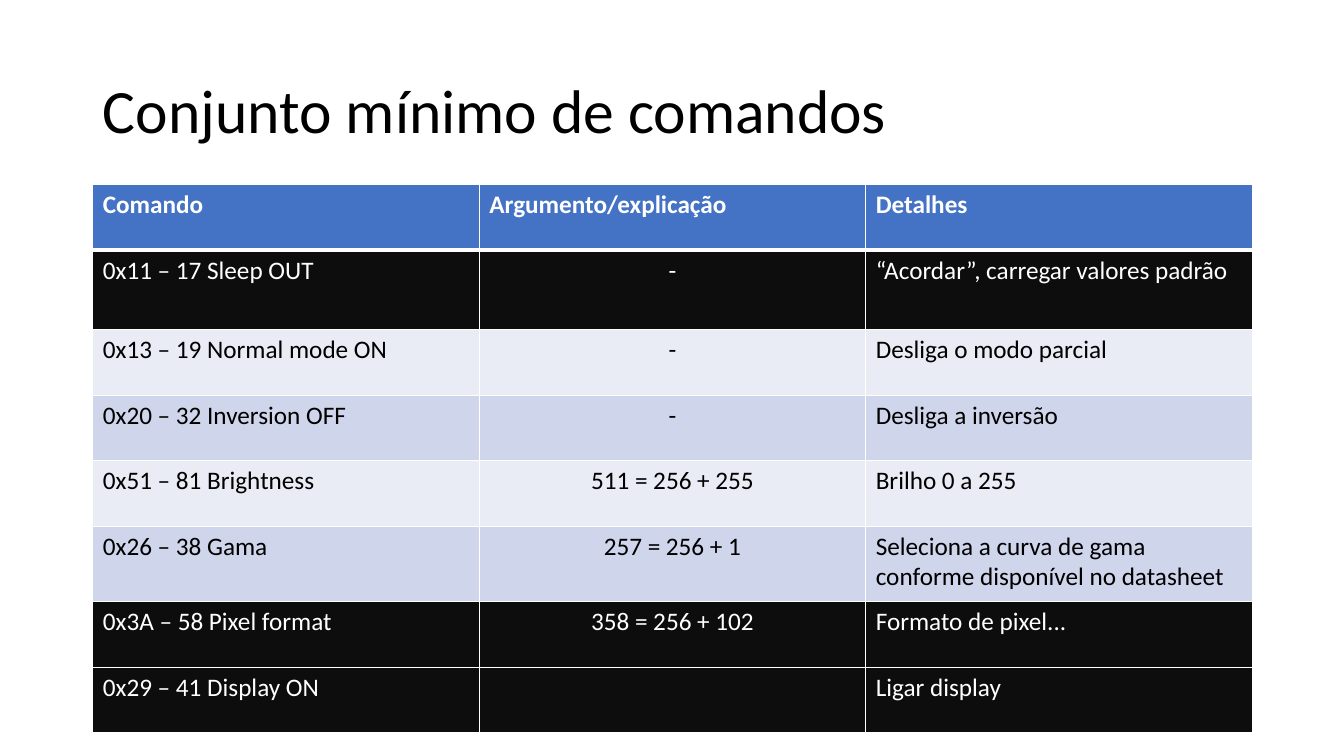
from dataclasses import dataclass

from lxml import etree
from pptx import Presentation
from pptx.dml.color import RGBColor
from pptx.enum.text import MSO_ANCHOR, PP_ALIGN
from pptx.oxml.ns import qn
from pptx.table import _Cell
from pptx.text.text import TextFrame
from pptx.util import Inches, Pt

LEFT, CENTER = PP_ALIGN.LEFT, PP_ALIGN.CENTER
MIDDLE = MSO_ANCHOR.MIDDLE

FONT = "Calibri"
BLACK = RGBColor(0x00, 0x00, 0x00)
WHITE = RGBColor(0xFF, 0xFF, 0xFF)
BLUE = RGBColor(0x44, 0x72, 0xC4)
DARK = RGBColor(0x0D, 0x0D, 0x0D)
PALE = RGBColor(0xE9, 0xEB, 0xF5)
LAVENDER = RGBColor(0xCF, 0xD5, 0xEA)

MARGIN, CONTENT_WIDTH = 0.92, 11.5
TABLE_TOP, ROW_HEIGHT = 1.83, 0.65
THIN, THICK = 1, 3


@dataclass(frozen=True)
class CommandRow:
    command: str
    argument: str
    details: str
    fill: RGBColor
    color: RGBColor = BLACK
    height: float = ROW_HEIGHT


HEADER = CommandRow("Comando", "Argumento/explicação", "Detalhes", BLUE, WHITE)
COMMANDS = [
    CommandRow("0x11 – 17 Sleep OUT", "-", "“Acordar”, carregar valores padrão",
               DARK, WHITE, 0.79),
    CommandRow("0x13 – 19 Normal mode ON", "-", "Desliga o modo parcial", PALE),
    CommandRow("0x20 – 32 Inversion OFF", "-", "Desliga a inversão", LAVENDER),
    CommandRow("0x51 – 81 Brightness", "511 = 256 + 255", "Brilho 0 a 255", PALE),
    CommandRow("0x26 – 38 Gama", "257 = 256 + 1",
               "Seleciona a curva de gama conforme disponível no datasheet",
               LAVENDER, height=0.75),
    CommandRow("0x3A – 58 Pixel format", "358 = 256 + 102", "Formato de pixel...",
               DARK, WHITE),
    CommandRow("0x29 – 41 Display ON", "", "Ligar display", DARK, WHITE),
]


def write_text(frame: TextFrame, text: str, *, size: float, color: RGBColor,
               bold: bool = False, align: PP_ALIGN = LEFT,
               line_spacing: float = 1.0) -> None:
    para = frame.paragraphs[0]
    para.alignment = align
    para.line_spacing = line_spacing
    para.font.size = Pt(size)
    if not text:
        return
    span = para.add_run()
    span.text = text
    span.font.name = FONT
    span.font.size = Pt(size)
    span.font.bold = bold
    span.font.color.rgb = color


def set_borders(cell: _Cell, top: float, bottom: float) -> None:
    """Draw white borders; call before the fill, which must follow them in the XML."""
    properties = cell._tc.get_or_add_tcPr()
    widths = {"a:lnL": THIN, "a:lnR": THIN, "a:lnT": top, "a:lnB": bottom}
    for tag, width in widths.items():
        line = etree.SubElement(properties, qn(tag), w=str(Pt(width)))
        fill = etree.SubElement(line, qn("a:solidFill"))
        etree.SubElement(fill, qn("a:srgbClr"), val=str(WHITE))


def add_title(page, text: str) -> None:
    title = page.shapes.title
    title.left, title.top = Inches(MARGIN), Inches(0.4)
    title.width, title.height = Inches(CONTENT_WIDTH), Inches(1.45)
    title.text_frame.vertical_anchor = MIDDLE
    write_text(title.text_frame, text, size=44, color=BLACK, line_spacing=0.9)


def add_command_table(page, rows: list[CommandRow]) -> None:
    height = sum(row.height for row in rows)
    table = page.shapes.add_table(
        len(rows), 3, Inches(MARGIN), Inches(TABLE_TOP),
        Inches(CONTENT_WIDTH), Inches(height)).table
    for index, row in enumerate(rows):
        table.rows[index].height = Inches(row.height)
        is_header = index == 0
        top = THICK if index == 1 else THIN
        bottom = THICK if is_header else THIN
        for column, text in enumerate((row.command, row.argument, row.details)):
            cell = table.cell(index, column)
            set_borders(cell, top, bottom)
            cell.fill.solid()
            cell.fill.fore_color.rgb = row.fill
            centered = column == 1 and not is_header
            write_text(cell.text_frame, text, size=18, color=row.color,
                       bold=is_header, align=CENTER if centered else LEFT)


def main() -> None:
    deck = Presentation()
    deck.slide_width, deck.slide_height = Inches(13.33), Inches(7.5)
    page = deck.slides.add_slide(deck.slide_layouts.get_by_name("Title Only"))

    # Heading
    add_title(page, "Conjunto mínimo de comandos")

    # Command table
    add_command_table(page, [HEADER, *COMMANDS])

    deck.save("out.pptx")


if __name__ == "__main__":
    main()
